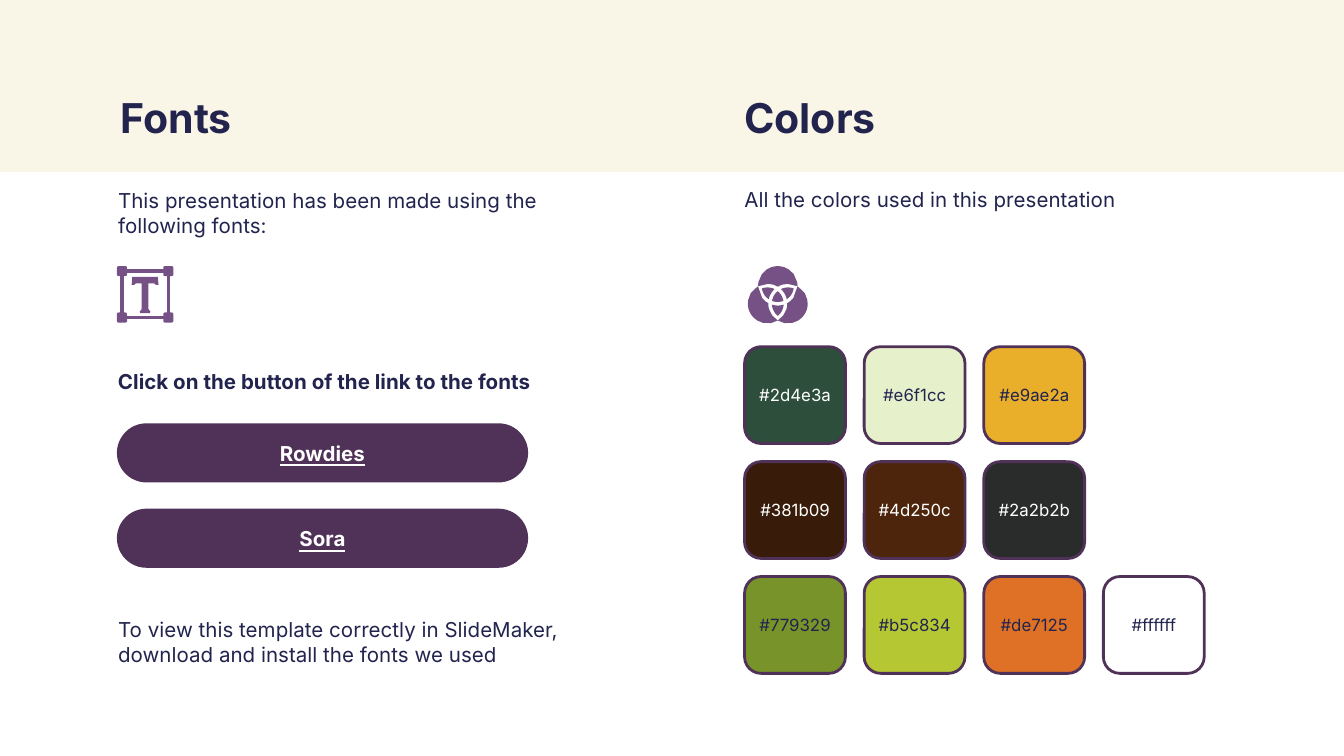
"""Build a slide that lists the fonts and colors of a presentation."""
from dataclasses import dataclass
from itertools import combinations
from math import atan2, cos, hypot, pi, sin, sqrt

from pptx import Presentation
from pptx.dml.color import RGBColor
from pptx.enum.shapes import MSO_SHAPE
from pptx.enum.text import MSO_ANCHOR, PP_ALIGN
from pptx.shapes.autoshape import Shape
from pptx.slide import Slide
from pptx.util import Inches, Length, Pt

COLORS = {"band": "FAF6E7", "ink": "22244E", "plum": "503259", "icon": "765186", "white": "FFFFFF"}
FONT = "Inter"
SLIDE_COLUMNS, SLIDE_ROWS = 100, 56.25
LEFT_TEXT, RIGHT_TEXT = 7.8, 54.4
SWATCH_COLUMN, SWATCH_ROW = 55.4, 25.8
SWATCH_COLUMN_STEP, SWATCH_ROW_STEP = 8.9, 8.55
Point = tuple[float, float]


@dataclass(frozen=True)
class Area:
    column: float
    row: float
    columns: float
    rows: float

    def lengths(self) -> tuple[Length, ...]:
        return tuple(grid(value) for value in (self.column, self.row, self.columns, self.rows))


@dataclass(frozen=True)
class TextStyle:
    size: float
    color: str = COLORS["ink"]
    bold: bool = False
    underline: bool = False
    centered: bool = False
    side_inset: float = 1


@dataclass(frozen=True)
class TextBlock:
    text: str
    area: Area
    style: TextStyle


@dataclass(frozen=True)
class Swatch:
    color: str
    column: int
    row: int
    label_color: str = "ink"


@dataclass(frozen=True)
class Circle:
    x: float
    y: float
    radius: float


TITLE = TextStyle(22, bold=True)
BODY = TextStyle(11)
BUTTON = TextStyle(11, COLORS["white"], bold=True, underline=True, centered=True)

TEXT_BLOCKS = (
    TextBlock("Fonts", Area(8, 5.9, 36.6, 5.3), TITLE),
    TextBlock("Colors", Area(RIGHT_TEXT, 5.9, 37.8, 5.3), TITLE),
    TextBlock("This presentation has been made using the following fonts:",
              Area(LEFT_TEXT, 13, 37.8, 5.5), BODY),
    TextBlock("All the colors used in this presentation",
              Area(RIGHT_TEXT, 13, 37.8, 5.5), BODY),
    TextBlock("Click on the button of the link to the fonts",
              Area(LEFT_TEXT, 26.5, 35, 3.3), TextStyle(11, bold=True)),
    TextBlock("To view this template correctly in SlideMaker, download and install the fonts we used",
              Area(LEFT_TEXT, 44.9, 37.8, 5.5), BODY),
)
SWATCHES = (
    Swatch("2d4e3a", 0, 0, "white"),
    Swatch("e6f1cc", 1, 0),
    Swatch("e9ae2a", 2, 0),
    Swatch("381b09", 0, 1, "white"),
    Swatch("4d250c", 1, 1, "white"),
    Swatch("2a2b2b", 2, 1, "white"),
    Swatch("779329", 0, 2),
    Swatch("b5c834", 1, 2),
    Swatch("de7125", 2, 2),
    Swatch("ffffff", 3, 2),
)
LETTER_HALF = ((0, 20.6), (0.95, 20.6), (1, 21.2), (0.8, 21.2), (0.7, 21.1), (0.25, 21.1),
               (0.25, 23), (0.4, 23.2), (0.35, 23.3), (0, 23.3))


def grid(units: float) -> Length:
    return Inches(units * 10 / SLIDE_COLUMNS)


def rgb(color: str) -> RGBColor:
    return RGBColor.from_string(color.upper())


def paint(shape: Shape, fill: str | None, line: str | None = None, width: float = 1.5) -> None:
    shape.shadow.inherit = False
    if fill:
        shape.fill.solid()
        shape.fill.fore_color.rgb = rgb(fill)
    else:
        shape.fill.background()
    if line:
        shape.line.color.rgb = rgb(line)
        shape.line.width = Pt(width)
    else:
        shape.line.fill.background()


def add_block(slide: Slide, kind: MSO_SHAPE, area: Area, fill: str | None,
              line: str | None = None, width: float = 1.5, rounding: float | None = None) -> Shape:
    shape = slide.shapes.add_shape(kind, *area.lengths())
    if rounding is not None:
        shape.adjustments[0] = rounding
    paint(shape, fill, line, width)
    return shape


def write(shape: Shape, text: str, style: TextStyle) -> None:
    frame = shape.text_frame
    frame.word_wrap = True
    frame.margin_left = frame.margin_right = grid(style.side_inset)
    frame.margin_top = frame.margin_bottom = grid(1)
    frame.vertical_anchor = MSO_ANCHOR.MIDDLE if style.centered else MSO_ANCHOR.TOP
    paragraph = frame.paragraphs[0]
    paragraph.alignment = PP_ALIGN.CENTER if style.centered else PP_ALIGN.LEFT
    run = paragraph.add_run()
    run.text = text
    run.font.name, run.font.size = FONT, Pt(style.size)
    run.font.bold, run.font.underline = style.bold, style.underline
    run.font.color.rgb = rgb(style.color)


def add_text(slide: Slide, block: TextBlock) -> None:
    write(slide.shapes.add_textbox(*block.area.lengths()), block.text, block.style)


def add_swatch(slide: Slide, swatch: Swatch) -> None:
    column = SWATCH_COLUMN + swatch.column * SWATCH_COLUMN_STEP
    row = SWATCH_ROW + swatch.row * SWATCH_ROW_STEP
    add_block(slide, MSO_SHAPE.ROUNDED_RECTANGLE, Area(column, row, 7.5, 7.2),
              swatch.color, COLORS["plum"], rounding=0.17)
    style = TextStyle(9, COLORS[swatch.label_color], centered=True, side_inset=0)
    add_text(slide, TextBlock(f"#{swatch.color}", Area(column, row + 1.5, 7.5, 4.2), style))


def add_outline(slide: Slide, points: list[Point]) -> None:
    start, *others = [(grid(x), grid(y)) for x, y in points]
    builder = slide.shapes.build_freeform(*start)
    builder.add_line_segments(others, close=True)
    paint(builder.convert_to_shape(), COLORS["icon"])


def crossings(first: Circle, second: Circle) -> list[Point]:
    x, y = second.x - first.x, second.y - first.y
    distance = hypot(x, y)
    along = (distance ** 2 + first.radius ** 2 - second.radius ** 2) / (2 * distance)
    across = sqrt(first.radius ** 2 - along ** 2)
    return [(first.x + (along * x - side * y) / distance, first.y + (along * y + side * x) / distance)
            for side in (across, -across)]


def ray_hits(seed: Point, angle: float, circle: Circle) -> list[float]:
    x, y = seed[0] - circle.x, seed[1] - circle.y
    along = x * cos(angle) + y * sin(angle)
    square = along ** 2 - hypot(x, y) ** 2 + circle.radius ** 2
    if square < 0:
        return []
    return [hit for hit in (-along - sqrt(square), -along + sqrt(square)) if hit > 0]


def add_region(slide: Slide, seed: Point, circles: list[Circle], samples: int = 16) -> None:
    corners = [atan2(y - seed[1], x - seed[0]) for pair in combinations(circles, 2)
               for x, y in crossings(*pair)]
    points = []
    for angle in sorted(corners + [2 * pi * step / samples - pi for step in range(samples)]):
        reach = min(hit for circle in circles for hit in ray_hits(seed, angle, circle))
        points.append((seed[0] + reach * cos(angle), seed[1] + reach * sin(angle)))
    add_outline(slide, points)


def add_color_icon(slide: Slide, x: float, y: float) -> None:
    angles = [-pi / 2 + 2 * pi * turn / 3 for turn in range(3)]
    inner, outer = ([Circle(x + 0.88 * cos(angle), y + 0.88 * sin(angle), radius)
                     for angle in angles] for radius in (1.2, 1.47))
    add_region(slide, (x, y), inner)
    for turn, angle in enumerate(angles):
        add_region(slide, (x + 1.75 * cos(angle), y + 1.75 * sin(angle)), outer)
        lens = [outer[turn], inner[turn - 1], inner[turn - 2]]
        add_region(slide, (x - 0.8 * cos(angle), y - 0.8 * sin(angle)), lens)


def add_font_icon(slide: Slide, column: float, row: float) -> None:
    add_block(slide, MSO_SHAPE.RECTANGLE, Area(column + 0.37, row + 0.37, 3.46, 3.46), None, COLORS["icon"], 1.8)
    for corner in range(4):
        area = Area(column + 3.45 * (corner % 2), row + 3.45 * (corner // 2), 0.75, 0.75)
        add_block(slide, MSO_SHAPE.ROUNDED_RECTANGLE, area, COLORS["icon"], rounding=0.17)
    middle = column + 2.1
    right = [(middle + x, y) for x, y in LETTER_HALF]
    add_outline(slide, right + [(middle - x, y) for x, y in reversed(LETTER_HALF[1:-1])])


def main() -> None:
    presentation = Presentation()
    presentation.slide_width, presentation.slide_height = grid(SLIDE_COLUMNS), grid(SLIDE_ROWS)
    slide = presentation.slides.add_slide(presentation.slide_layouts[6])
    add_block(slide, MSO_SHAPE.RECTANGLE, Area(0, 0, SLIDE_COLUMNS, 12.8), COLORS["band"])
    for block in TEXT_BLOCKS:
        add_text(slide, block)
    for index, name in enumerate(("Rowdies", "Sora")):
        area = Area(8.7, 31.5 + 6.35 * index, 30.6, 4.4)
        write(add_block(slide, MSO_SHAPE.ROUNDED_RECTANGLE, area, COLORS["plum"], rounding=0.5), name, BUTTON)
    for swatch in SWATCHES:
        add_swatch(slide, swatch)
    add_font_icon(slide, 8.7, 19.8)
    add_color_icon(slide, 57.87, 22.15)
    presentation.save("out.pptx")


if __name__ == "__main__":
    main()
